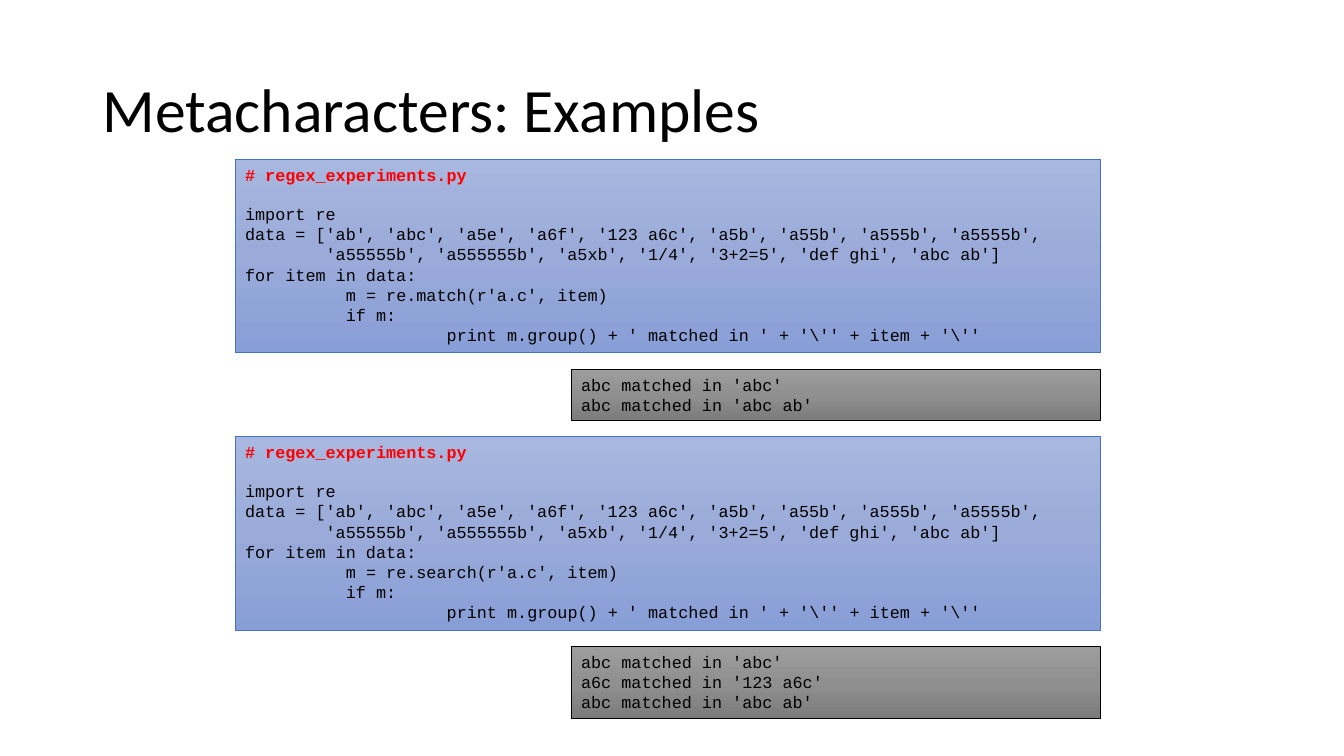
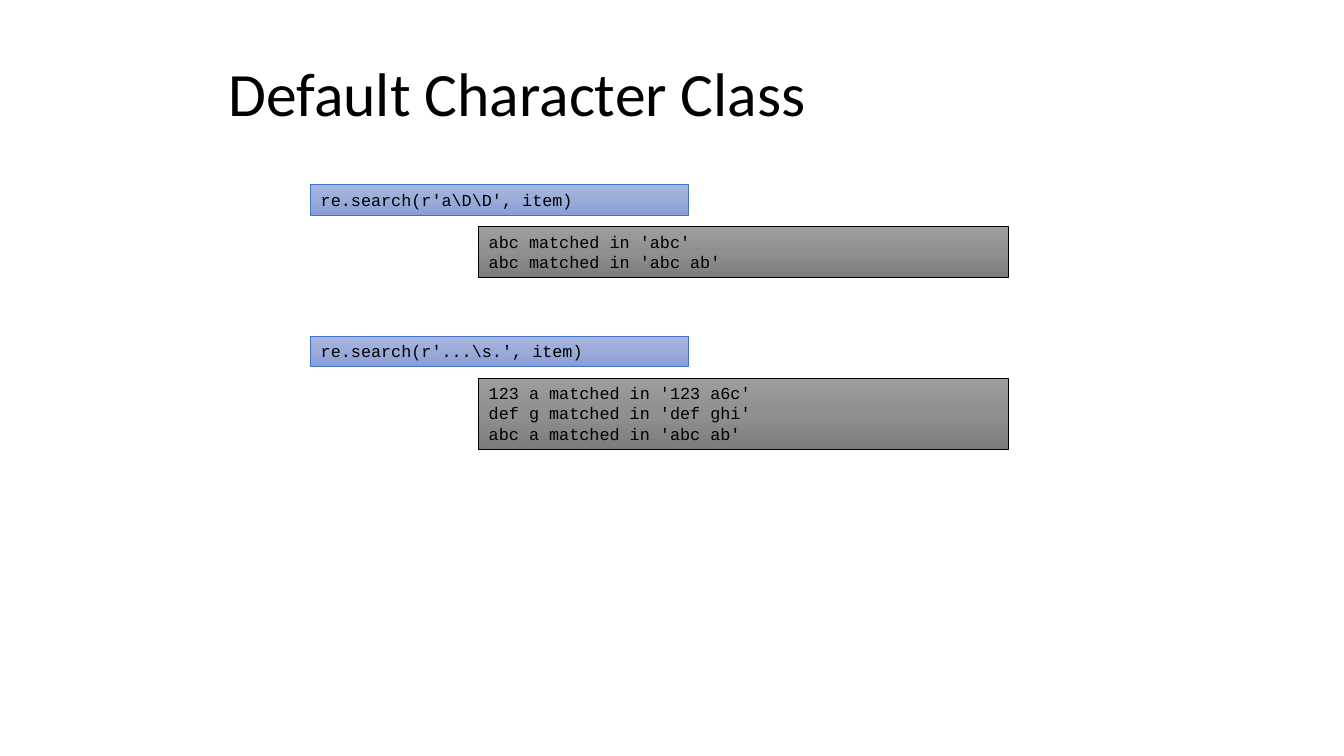
from copy import deepcopy
from dataclasses import dataclass

from pptx import Presentation
from pptx.dml.color import RGBColor
from pptx.enum.shapes import MSO_SHAPE
from pptx.enum.text import MSO_ANCHOR, MSO_AUTO_SIZE, PP_ALIGN
from pptx.oxml.ns import qn
from pptx.util import Pt

RECTANGLE = MSO_SHAPE.RECTANGLE
TOP, MIDDLE = MSO_ANCHOR.TOP, MSO_ANCHOR.MIDDLE
GROW = MSO_AUTO_SIZE.SHAPE_TO_FIT_TEXT
LEFT = PP_ALIGN.LEFT
TITLE_ONLY = 5
EMU_PER_PX = 9525
SLIDE_SIZE = (1280, 720)
TAB_STOPS = (96, 192)
OUTPUT_WIDTH = 504


@dataclass(frozen=True)
class PanelStyle:
    gradient: tuple
    line: str


@dataclass(frozen=True)
class Theme:
    title_font: str = "Calibri"
    code_font: str = "Courier New"
    title_size: float = 44
    code_size: float = 12
    blank_line: float = 13.6
    line_width: float = 0.5
    text: str = "000000"
    heading: str = "FF0000"
    code: PanelStyle = PanelStyle(("A8B7DF", "9AABD9", "889ED7"), "4472C4")
    output: PanelStyle = PanelStyle(("9D9D9D", "909090", "7C7C7C"), "000000")


THEME = Theme()

SCRIPT_HEADING = "# regex_experiments.py"
SCRIPT = r"""import re
data = ['ab', 'abc', 'a5e', 'a6f', '123 a6c', 'a5b', 'a55b', 'a555b', 'a5555b',
        'a55555b', 'a555555b', 'a5xb', '1/4', '3+2=5', 'def ghi', 'abc ab']
for item in data:
{tab}m = re.{method}(r'a.c', item)
{tab}if m:
{tab}{tab}print m.group() + ' matched in ' + '\'' + item + '\''"""

SCRIPT_RUNS = [
    ("match", ["abc matched in 'abc'", "abc matched in 'abc ab'"]),
    ("search", ["abc matched in 'abc'", "a6c matched in '123 a6c'",
                "abc matched in 'abc ab'"]),
]
CLASS_RUNS = [
    (r"re.search(r'a\D\D', item)",
     ["abc matched in 'abc'", "abc matched in 'abc ab'"]),
    (r"re.search(r'...\s.', item)",
     ["123 a matched in '123 a6c'", "def g matched in 'def ghi'",
      "abc a matched in 'abc ab'"]),
]


def px(length):
    return length * EMU_PER_PX


def set_attributes(target, values):
    for name, value in values.items():
        setattr(target, name, value)


def format_run(run, font, size, color, bold=False):
    set_attributes(run.font, {"name": font, "size": Pt(size), "bold": bold})
    run.font.color.rgb = RGBColor.from_string(color)


def place(shape, left, top, width, height):
    set_attributes(shape, {"left": px(left), "top": px(top),
                           "width": px(width), "height": px(height)})


def add_titled_slide(presentation, text, box):
    slide = presentation.slides.add_slide(presentation.slide_layouts[TITLE_ONLY])
    title = slide.shapes.title
    place(title, *box)
    set_attributes(title.text_frame, {"word_wrap": True, "vertical_anchor": MIDDLE})
    paragraph = title.text_frame.paragraphs[0]
    set_attributes(paragraph, {"alignment": LEFT, "line_spacing": 0.9})
    run = paragraph.add_run()
    run.text = text
    format_run(run, THEME.title_font, THEME.title_size, THEME.text)
    return slide


def fill_gradient(shape, colors):
    """Fill from top to bottom with three evenly spaced colours."""
    shape.fill.gradient()
    shape.fill.gradient_angle = 270
    stop_list = shape._element.spPr.find(".//" + qn("a:gsLst"))
    stop_list.insert(1, deepcopy(stop_list[0]))
    for index, (stop, color) in enumerate(zip(shape.fill.gradient_stops, colors)):
        stop.position = index / (len(colors) - 1)
        stop.color.rgb = RGBColor.from_string(color)


def add_tab_stops(paragraph):
    tab_list = paragraph._p.get_or_add_pPr().makeelement(qn("a:tabLst"), {})
    for position in TAB_STOPS:
        tab = tab_list.makeelement(qn("a:tab"), {"pos": str(px(position)), "algn": "l"})
        tab_list.append(tab)
    paragraph._p.pPr.append(tab_list)


def panel_height(line_count):
    return 10 + line_count * 97 // 5


def add_panel(slide, left, top, width, lines, style, heading=None):
    """Add a box of code lines and return its bottom edge in px."""
    line_count = len(lines) + (2 if heading else 0)
    height = panel_height(line_count)
    panel = slide.shapes.add_shape(
        RECTANGLE, px(left), px(top), px(width), px(height))
    panel.shadow.inherit = False
    fill_gradient(panel, style.gradient)
    panel.line.color.rgb = RGBColor.from_string(style.line)
    panel.line.width = Pt(THEME.line_width)
    frame = panel.text_frame
    set_attributes(frame, {"word_wrap": True, "vertical_anchor": TOP,
                           "auto_size": GROW})
    for index, line in enumerate([heading, *lines] if heading else lines):
        paragraph = frame.add_paragraph() if index else frame.paragraphs[0]
        paragraph.alignment = LEFT
        is_heading = bool(heading) and index == 0
        if is_heading:
            paragraph.space_after = Pt(THEME.blank_line)
        if "\t" in line:
            add_tab_stops(paragraph)
        run = paragraph.add_run()
        run.text = line
        color = THEME.heading if is_heading else THEME.text
        format_run(run, THEME.code_font, THEME.code_size, color, is_heading)
    return top + height


def build_metacharacters(presentation):
    slide = add_titled_slide(
        presentation, "Metacharacters: Examples", (88, 38, 1104, 139))
    top, gap = 152, 16
    for method, output in SCRIPT_RUNS:
        code = SCRIPT.format(tab="\t", method=method).split("\n")
        bottom = add_panel(slide, 224, top, 824, code, THEME.code, SCRIPT_HEADING)
        bottom = add_panel(slide, 544, bottom + gap, OUTPUT_WIDTH, output, THEME.output)
        top = bottom + gap


def build_character_class(presentation):
    slide = add_titled_slide(
        presentation, "Default Character Class", (208, 32, 864, 120))
    top, inner_gap, outer_gap = 176, 11, 56
    for call, output in CLASS_RUNS:
        bottom = add_panel(slide, 296, top, 360, [call], THEME.code)
        bottom = add_panel(
            slide, 456, bottom + inner_gap, OUTPUT_WIDTH, output, THEME.output)
        top = bottom + outer_gap


def main():
    presentation = Presentation()
    width, height = SLIDE_SIZE
    set_attributes(presentation, {"slide_width": px(width), "slide_height": px(height)})
    build_metacharacters(presentation)
    build_character_class(presentation)
    presentation.save("out.pptx")


if __name__ == "__main__":
    main()
